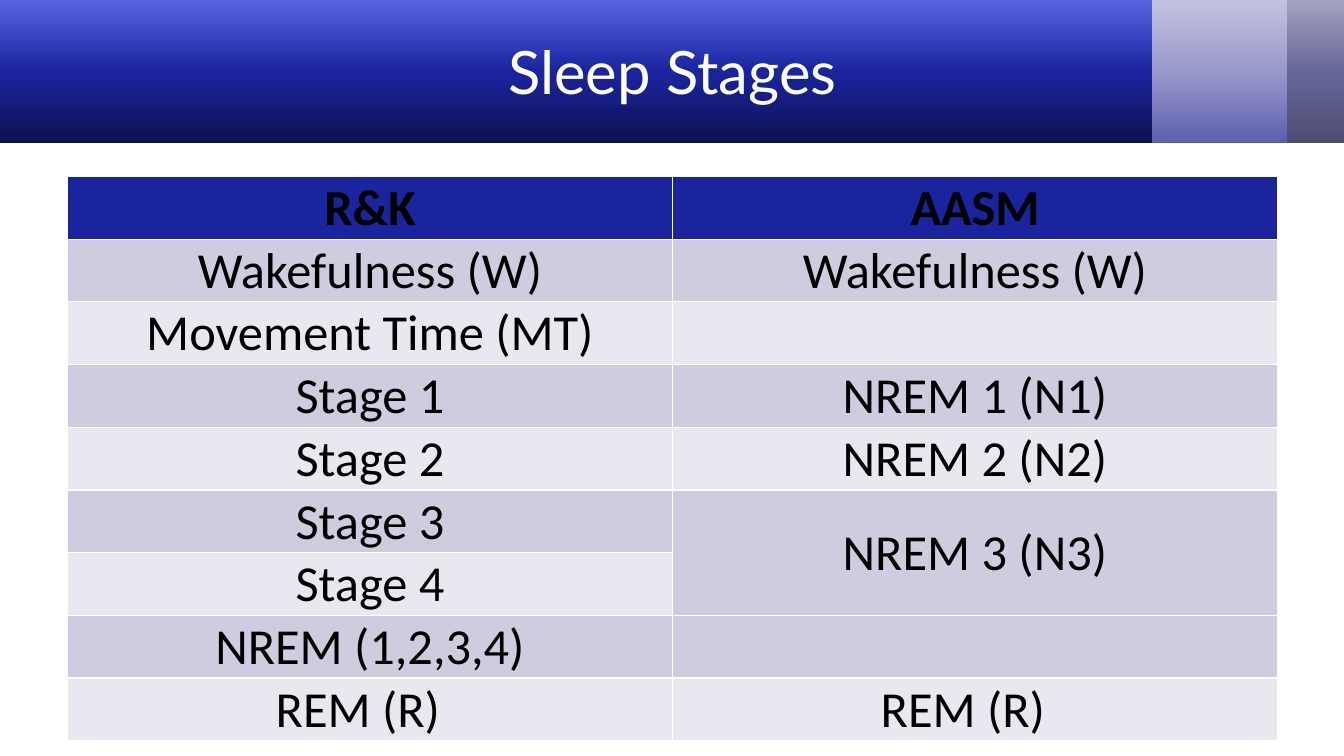
from copy import deepcopy
from dataclasses import dataclass

from pptx import Presentation
from pptx import util as u
from pptx.dml.color import RGBColor
from pptx.enum import shapes, text


@dataclass(frozen=True)
class Theme:
    title_font: str = "Lato"
    table_font: str = "Calibri"
    title_size: float = 42.7
    table_size: float = 36
    title_color: str = "FFFFFF"
    table_color: str = "000000"
    header_fill: str = "1B249F"
    band_fills: tuple = ("CDCDDF", "E8E8F0")
    gray_gradient: tuple = ("4D4D73", "666699", "A3A3C2")
    lilac_gradient: tuple = ("5D5DAE", "9999CC", "C2C2E0")
    blue_gradient: tuple = ("0D1250", "1B249F", "5962E3")


THEME = Theme()
BANNER_HEIGHT = 1.42
BANNER_BARS = [
    (12.57, 0.78, THEME.gray_gradient),
    (11.37, 1.4, THEME.lilac_gradient),
    (0, 11.43, THEME.blue_gradient),
]
STAGES = [
    ("R&K", "AASM"),
    ("Wakefulness (W)", "Wakefulness (W)"),
    ("Movement Time (MT)", ""),
    ("Stage 1", "NREM 1 (N1)"),
    ("Stage 2", "NREM 2 (N2)"),
    ("Stage 3", "NREM 3 (N3)"),
    ("Stage 4", ""),
    ("NREM (1,2,3,4)", ""),
    ("REM (R)", "REM (R)"),
]
MERGED_ROW = 5
LAST_ROW = len(STAGES) - 1


def write_text(frame, words, *, font, size, color, bold=False):
    paragraph = frame.paragraphs[0]
    paragraph.alignment = text.PP_ALIGN.CENTER
    run = paragraph.add_run()
    run.text = words
    run.font.name = font
    run.font.size = u.Pt(size)
    run.font.bold = bold
    run.font.color.rgb = RGBColor.from_string(color)


def add_banner_bar(slide, left, width, colors):
    bar = slide.shapes.add_shape(
        shapes.MSO_SHAPE.RECTANGLE,
        u.Inches(left), 0, u.Inches(width), u.Inches(BANNER_HEIGHT),
    )
    bar.shadow.inherit = False
    bar.line.fill.background()
    bar.fill.gradient()
    bar.fill.gradient_angle = 90
    first_stop = bar.element.xpath(".//a:gs")[0]
    first_stop.addnext(deepcopy(first_stop))
    for index, (stop, color) in enumerate(zip(bar.fill.gradient_stops, colors)):
        stop.position = index / 2
        stop.color.rgb = RGBColor.from_string(color)
    slide.shapes.title.element.addprevious(bar.element)


def format_title(title, words):
    title.left, title.top = u.Inches(0.67), u.Inches(0.08)
    title.width, title.height = u.Inches(12), u.Inches(1.25)
    frame = title.text_frame
    frame.auto_size = text.MSO_AUTO_SIZE.NONE
    frame.vertical_anchor = text.MSO_ANCHOR.MIDDLE
    write_text(frame, words, font=THEME.title_font, size=THEME.title_size,
               color=THEME.title_color)


def fill_cell(cell, words, row):
    is_header = row == 0
    color = THEME.header_fill if is_header else THEME.band_fills[(row - 1) % 2]
    cell.fill.solid()
    cell.fill.fore_color.rgb = RGBColor.from_string(color)
    if not words:
        return
    cell.margin_left = cell.margin_top = u.Inches(0.01)
    cell.margin_right = u.Inches(0.25 if row == LAST_ROW else 0.01)
    cell.margin_bottom = 0
    cell.vertical_anchor = (
        text.MSO_ANCHOR.MIDDLE if cell.is_merge_origin else text.MSO_ANCHOR.BOTTOM
    )
    write_text(cell.text_frame, words, font=THEME.table_font,
               size=THEME.table_size, color=THEME.table_color, bold=is_header)


def add_stage_table(slide):
    graphic_frame = slide.shapes.add_table(
        len(STAGES), 2, u.Inches(0.67), u.Inches(1.75), u.Inches(12), u.Inches(5.49)
    )
    table = graphic_frame.table
    table.cell(MERGED_ROW, 1).merge(table.cell(MERGED_ROW + 1, 1))
    for row, names in enumerate(STAGES):
        table.rows[row].height = u.Inches(0.41)
        for column, name in enumerate(names):
            fill_cell(table.cell(row, column), name, row)
    graphic_frame.height = u.Inches(5.49)


def main():
    presentation = Presentation()
    presentation.slide_width = u.Inches(13.33)
    presentation.slide_height = u.Inches(7.5)
    slide = presentation.slides.add_slide(presentation.slide_layouts[5])
    for left, width, colors in BANNER_BARS:
        add_banner_bar(slide, left, width, colors)
    format_title(slide.shapes.title, "Sleep Stages")
    add_stage_table(slide)
    presentation.save("out.pptx")


if __name__ == "__main__":
    main()
